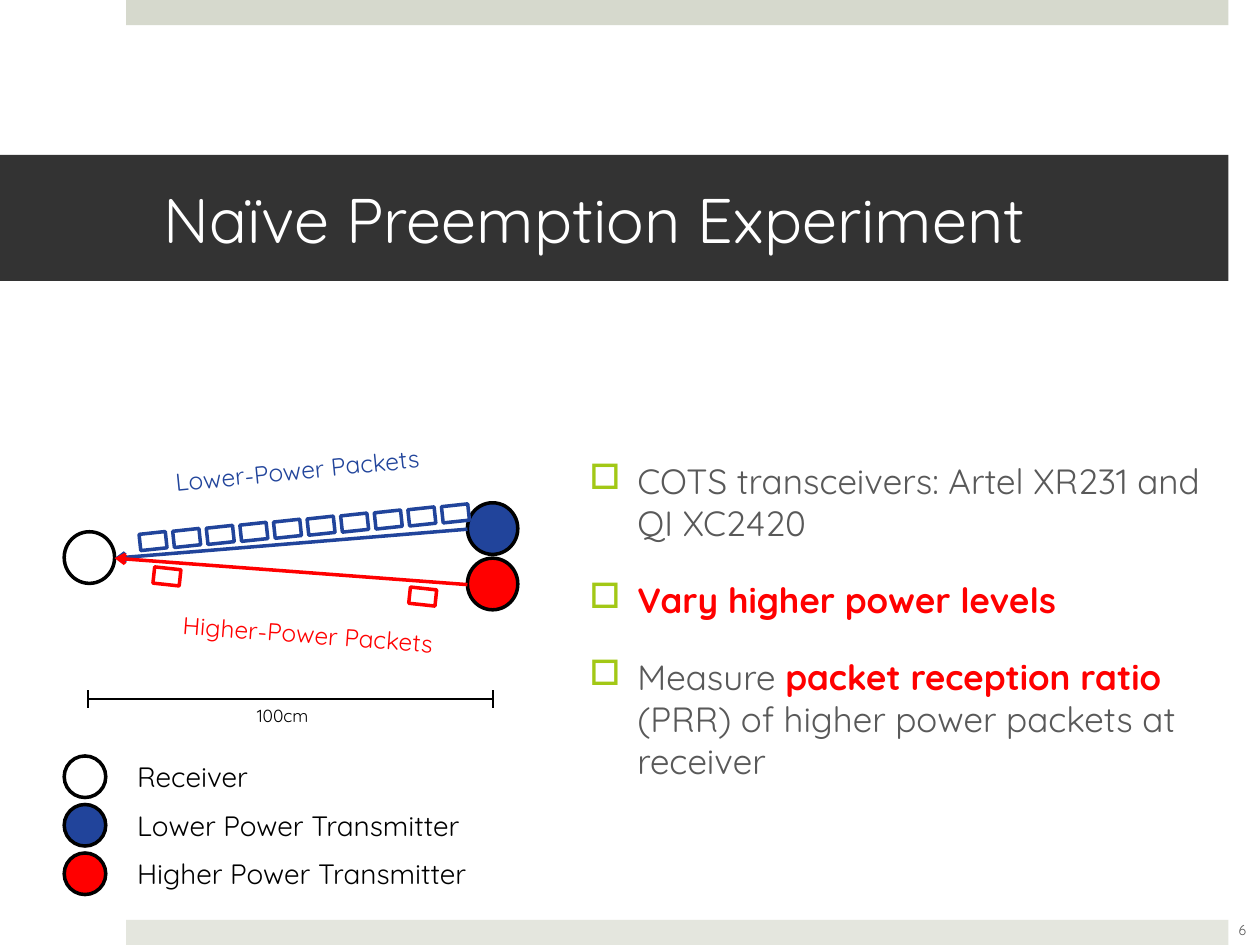
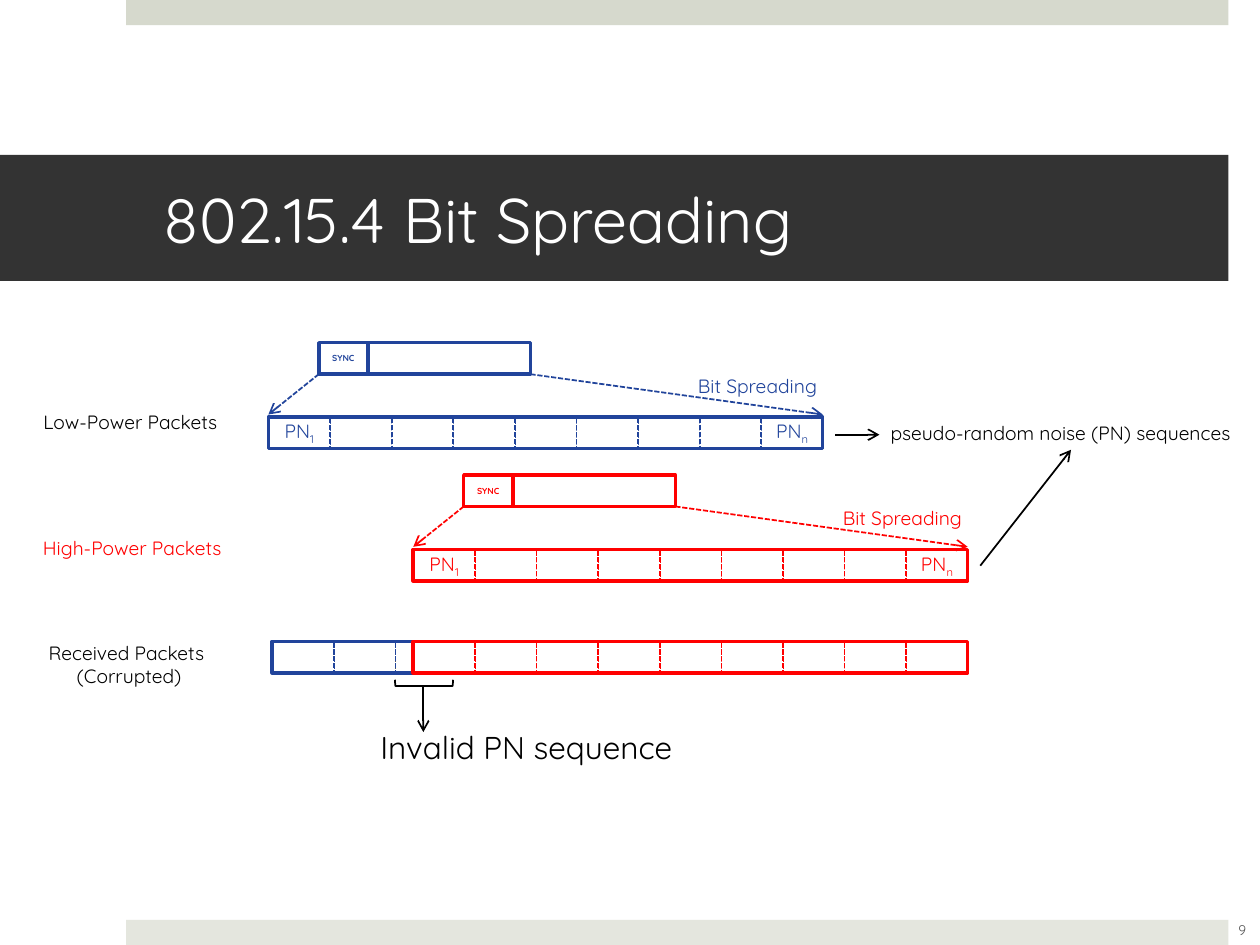
from lxml import etree
from pptx import Presentation
from pptx import util as u
from pptx.dml.color import RGBColor
from pptx.enum import dml, shapes, text
from pptx.oxml.ns import qn

WHITE = RGBColor(0xFF, 0xFF, 0xFF)
BLACK = RGBColor(0, 0, 0)
BLUE = RGBColor(0x21, 0x44, 0x9B)
RED = RGBColor(0xFF, 0, 0)
GRAY = RGBColor(0x59, 0x59, 0x59)
TITLE_BAND = RGBColor(0x33, 0x33, 0x33)
TOP_BAND = RGBColor(0xD6, 0xD9, 0xCD)
BOTTOM_BAND = RGBColor(0xE4, 0xE6, 0xDE)
BULLET = "A2C816"
FONT = "Quicksand"
RECT = shapes.MSO_SHAPE.RECTANGLE
OVAL = shapes.MSO_SHAPE.OVAL
LEFT, CENTER = text.PP_ALIGN.LEFT, text.PP_ALIGN.CENTER

# Content of the experiment slide
BULLETS = [
    [("COTS transceivers: Artel XR231 and QI XC2420", GRAY, False)],
    [("Vary higher power levels", RED, True)],
    [("Measure ", GRAY, False), ("packet reception ratio ", RED, True),
     ("(PRR) of higher power packets at receiver", GRAY, False)],
]
NODES = [(0.51, 4.22, None), (3.71, 3.99, BLUE), (3.71, 4.43, RED)]
BEAMS = [((3.71, 4.2), BLUE), ((3.71, 4.64), RED)]
BEAM_END = (0.91, 4.43)
BEAM_LABELS = [
    ("Lower-Power Packets", (1.29, 3.56, 2.23, 0.34), 354.3, BLUE),
    ("Higher-Power Packets", (1.35, 4.87, 2.27, 0.34), 4.3, RED),
]
HIGH_PACKETS = [(1.22, 4.51), (3.25, 4.67)]
LEGEND = [("Receiver", 1.16, None), ("Lower Power Transmitter", 2.81, BLUE),
          ("Higher Power Transmitter", 2.87, RED)]

# Content of the spreading slide
PACKETS = [(2.13, 2.72, BLUE), (3.28, 3.77, RED)]
ROW_LABELS = [
    (["Low-Power Packets"], (0.21, 3.21, 1.65, 0.29), BLACK),
    (["High-Power Packets"], (0.21, 4.21, 1.68, 0.29), RED),
    (["Received Packets ", "(Corrupted)"], (0.25, 5.04, 1.55, 0.47), BLACK),
]
CELLS, CELL_WIDTH, ROW_WIDTH, ROW_HEIGHT = 9, 0.49, 4.4, 0.25


def add_run(paragraph, words, size, color, bold=False, baseline=None):
    run = paragraph.add_run()
    run.text = words
    run.font.name, run.font.size, run.font.bold = FONT, u.Pt(size), bold
    run.font.color.rgb = color
    if baseline:
        run._r.get_or_add_rPr().set("baseline", str(baseline))


def add_box(parent, box, fill=None, line=None, width=2, dashed=False,
            kind=RECT, rotation=0):
    shape = parent.add_shape(kind, *map(u.Inches, box))
    shape.shadow.inherit = False
    shape.rotation = rotation
    if fill is None:
        shape.fill.background()
    else:
        shape.fill.solid()
        shape.fill.fore_color.rgb = fill
    if line is None:
        shape.line.fill.background()
    else:
        shape.line.color.rgb = line
        shape.line.width = u.Pt(width)
        if dashed:
            shape.line.dash_style = dml.MSO_LINE.SQUARE_DOT
    return shape


def add_line(parent, start, end, color, width=1, dashed=False, arrow=True):
    line = parent.add_connector(shapes.MSO_CONNECTOR.STRAIGHT,
                                *map(u.Inches, start + end))
    line.line.color.rgb = color
    line.line.width = u.Pt(width)
    if dashed:
        line.line.dash_style = dml.MSO_LINE.SQUARE_DOT
    if arrow:
        etree.SubElement(line.line._get_or_add_ln(), qn("a:tailEnd"), type="arrow")
    etree.SubElement(line._element.spPr, qn("a:effectLst"))


def add_label(parent, lines, box, size, color, align=LEFT, rotation=0):
    label = parent.add_textbox(*map(u.Inches, box))
    label.rotation = rotation
    frame = label.text_frame
    frame.word_wrap = False
    frame.auto_size = text.MSO_AUTO_SIZE.SHAPE_TO_FIT_TEXT
    for index, words in enumerate(lines):
        paragraph = frame.add_paragraph() if index else frame.paragraphs[0]
        paragraph.alignment = align
        add_run(paragraph, words, size, color)


def center_text(shape):
    """Make the shape's text centred without margins; return its paragraph."""
    frame = shape.text_frame
    frame.margin_left = frame.margin_right = 0
    frame.margin_top = frame.margin_bottom = 0
    frame.vertical_anchor = text.MSO_ANCHOR.MIDDLE
    frame.paragraphs[0].alignment = CENTER
    return frame.paragraphs[0]


def add_slide(presentation, title, number):
    """Blank slide with the bands, title and page number all slides share."""
    slide = presentation.slides.add_slide(presentation.slide_layouts[6])
    parent = slide.shapes
    add_box(parent, (1, 0, 8.75, 0.2), TOP_BAND)
    add_box(parent, (1, 7.3, 8.75, 0.2), BOTTOM_BAND)
    frame = add_box(parent, (0, 1.23, 9.75, 1), TITLE_BAND).text_frame
    frame.margin_left, frame.margin_right = u.Inches(1.3), u.Inches(0.3)
    frame.vertical_anchor = text.MSO_ANCHOR.MIDDLE
    frame.paragraphs[0].alignment = LEFT
    add_run(frame.paragraphs[0], title, 36, WHITE)
    page = parent.add_textbox(*map(u.Inches, (9.61, 7.18, 0.5, 0.4)))
    page.text_frame.word_wrap = True
    add_run(center_text(page), number, 8, GRAY)
    return parent


def add_bullets(parent, box, bullets):
    frame = parent.add_textbox(*map(u.Inches, box)).text_frame
    frame.word_wrap = True
    for index, runs in enumerate(bullets):
        paragraph = frame.add_paragraph() if index else frame.paragraphs[0]
        paragraph.space_before = u.Pt(20)
        properties = paragraph._p.get_or_add_pPr()
        indent = u.Inches(0.38)
        properties.set("marL", str(indent))
        properties.set("indent", str(-indent))
        color = etree.SubElement(properties, qn("a:buClr"))
        etree.SubElement(color, qn("a:srgbClr"), val=BULLET)
        etree.SubElement(properties, qn("a:buChar"), char="□")
        for words, run_color, bold in runs:
            add_run(paragraph, words, 20, run_color, bold)


def add_row(parent, left, top, colors):
    """Dashed cells, drawn from right to left; returns them left to right."""
    cells = [add_box(parent, (left + i * ROW_WIDTH / CELLS, top, CELL_WIDTH, ROW_HEIGHT),
                     WHITE, colors[i], 1, True) for i in reversed(range(CELLS))]
    return cells[::-1]


def add_spread_packet(parent, left, top, color):
    """A packet with its SYNC header, spread into a row of PN cells."""
    row_top, header_left, body_left = top + 0.59, left + 0.4, left + 0.79
    right, bottom = body_left + 1.29, top + ROW_HEIGHT
    cells = add_row(parent, left, row_top, [color] * CELLS)
    for cell, subscript in ((cells[0], "1"), (cells[-1], "n")):
        paragraph = center_text(cell)
        add_run(paragraph, "PN", 11, color)
        add_run(paragraph, subscript, 11, color, baseline=-25000)
    add_box(parent, (body_left, top, 1.29, ROW_HEIGHT), WHITE, color)
    header = add_box(parent, (header_left, top, 0.39, ROW_HEIGHT), WHITE, color)
    add_run(center_text(header), "SYNC", 5, color, True)
    add_box(parent, (left, row_top, ROW_WIDTH, ROW_HEIGHT), line=color)
    add_label(parent, ["Bit Spreading"], (left + 3.31, top + 0.2, 1.18, 0.29), 11, color)
    for start, end in ((header_left, left), (right, left + ROW_WIDTH)):
        add_line(parent, (start, bottom), (end, row_top - 0.02), color, dashed=True)


def build_experiment(presentation):
    parent = add_slide(presentation, "Naïve Preemption Experiment", "6")
    # Nodes and beams
    for left, top, fill in NODES:
        add_box(parent, (left, top, 0.4, 0.41), fill, BLACK, kind=OVAL)
    for start, color in BEAMS:
        add_line(parent, start, BEAM_END, color, 2)
    for words, box, rotation, color in BEAM_LABELS:
        add_label(parent, [words], box, 14, color, rotation=rotation)
    # Distance scale
    scale = parent.add_group_shape().shapes
    add_line(scale, (0.7, 5.55), (3.91, 5.55), BLACK, arrow=False)
    for x in (0.7, 3.91):
        add_line(scale, (x, 5.48), (x, 5.62), BLACK, arrow=False)
    add_label(scale, ["100cm"], (1.94, 5.55, 0.79, 0.33), 10, BLACK)
    # Packets along the beams
    for i in range(10):
        box = (1.11 + i * 2.4 / 9, 4.23 - i * 0.22 / 9, 0.21, 0.13)
        add_box(parent, box, WHITE, BLUE, rotation=353.9)
    for left, top in HIGH_PACKETS:
        add_box(parent, (left, top, 0.21, 0.13), WHITE, RED, rotation=6.1)
    add_bullets(parent, (4.58, 3.6, 5.17, 3.03), BULLETS)
    # Legend
    for i, (words, width, fill) in enumerate(LEGEND):
        top = 6 + i * 0.385
        add_box(parent, (0.51, top, 0.33, 0.33), fill, BLACK, kind=OVAL)
        add_label(parent, [words], (0.99, top - 0.02, width, 0.37), 16, BLACK)


def build_spreading(presentation):
    parent = add_slide(presentation, "802.15.4 Bit Spreading", "9")
    # Sent packets
    for left, top, color in PACKETS:
        add_spread_packet(parent.add_group_shape().shapes, left, top, color)
    # Received packet: the high-power row covers the low-power one
    received = parent.add_group_shape().shapes
    for left, color, colors in ((2.16, BLUE, [BLUE] * 2 + [BLACK] * 7),
                                (3.28, RED, [RED] * CELLS)):
        add_row(received, left, 5.09, colors)
        add_box(received, (left, 5.09, ROW_WIDTH, ROW_HEIGHT), line=color)
    # Labels and pointers
    for lines, box, color in ROW_LABELS:
        add_label(parent, lines, box, 11, color, CENTER)
    add_label(parent, ["pseudo-random noise (PN) sequences"],
              (6.97, 3.29, 3.06, 0.29), 11, BLACK)
    add_line(parent, (6.63, 3.45), (6.98, 3.45), BLACK)
    add_line(parent, (7.78, 4.49), (8.5, 3.57), BLACK)
    # Invalid sequence
    invalid = parent.add_group_shape().shapes
    add_box(invalid, (3.34, 5.19, 0.05, 0.46), line=BLACK, width=1,
            kind=shapes.MSO_SHAPE.RIGHT_BRACKET, rotation=90)
    add_label(invalid, ["Invalid PN sequence"], (2.92, 5.73, 2.71, 0.4), 18, BLACK)
    add_line(invalid, (3.36, 5.44), (3.36, 5.81), BLACK)


presentation = Presentation()
presentation.slide_width, presentation.slide_height = u.Inches(10), u.Inches(7.5)
build_experiment(presentation)
build_spreading(presentation)
presentation.save("out.pptx")
